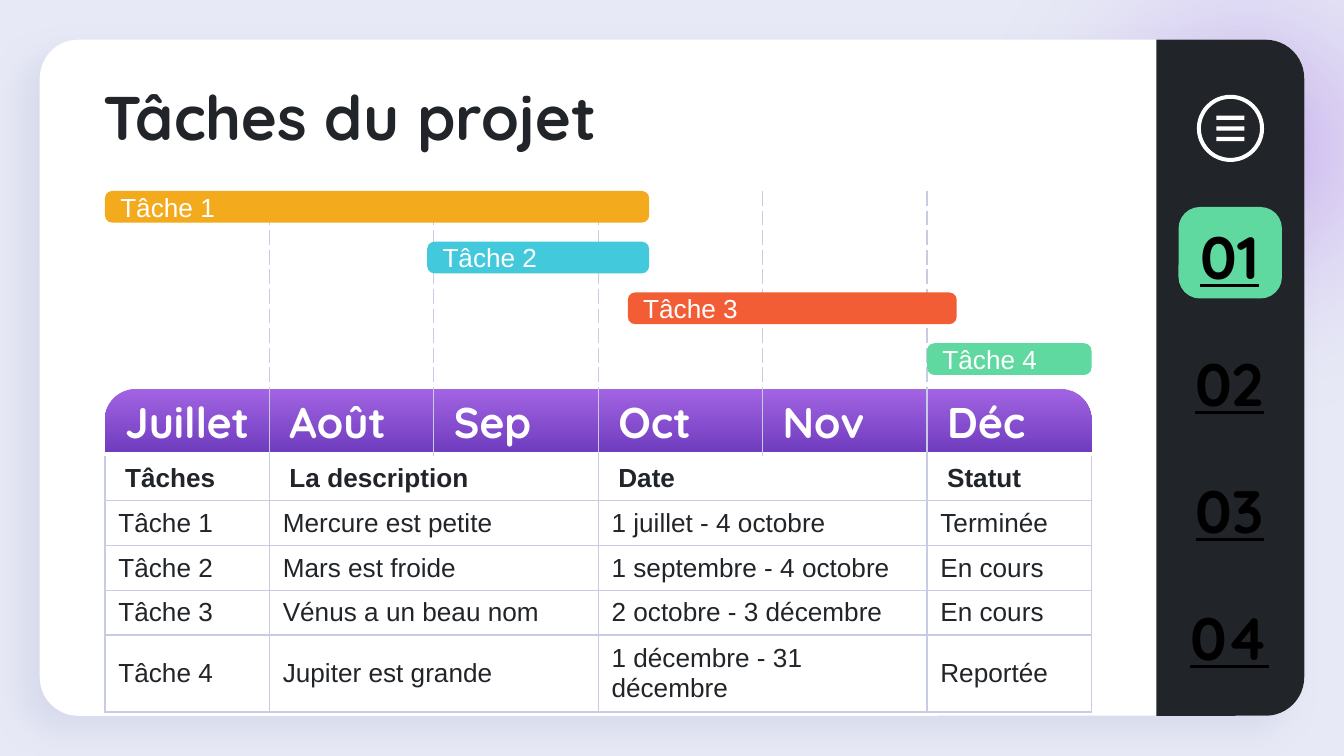
"""Build a project task slide with a timeline, a task table and a numbered sidebar."""
from lxml import etree
from pptx import Presentation
from pptx.dml.color import RGBColor
from pptx.enum import shapes, text
from pptx.oxml import parse_xml
from pptx.oxml.ns import nsdecls, qn
from pptx.util import Pt

WHITE = RGBColor(0xFF, 0xFF, 0xFF)
BLACK = RGBColor(0x00, 0x00, 0x00)
INK = RGBColor(0x21, 0x24, 0x28)
MIST = RGBColor(0xE7, 0xE9, 0xF6)
RULE = RGBColor(0xC7, 0xCC, 0xE2)
LILAC = RGBColor(0xA2, 0x64, 0xE3)
PURPLE = RGBColor(0x70, 0x3D, 0xBF)
AMBER = RGBColor(0xF4, 0xAA, 0x1D)
CYAN = RGBColor(0x43, 0xC9, 0xDC)
ORANGE = RGBColor(0xF3, 0x5D, 0x35)
GREEN = RGBColor(0x60, 0xD9, 0xA1)

TITLE = "Tâches du projet"
MONTHS = ["Juillet", "Août", "Sep", "Oct", "Nov", "Déc"]
TASK_BARS = [
    ("Tâche 1", 0, 3.31, AMBER),
    ("Tâche 2", 1.96, 3.31, CYAN),
    ("Tâche 3", 3.18, 5.18, ORANGE),
    ("Tâche 4", 5, 6, GREEN),
]
TASK_ROWS = [
    ("Tâches", "La description", "Date", "Statut"),
    ("Tâche 1", "Mercure est petite", "1 juillet - 4 octobre", "Terminée"),
    ("Tâche 2", "Mars est froide", "1 septembre - 4 octobre", "En cours"),
    ("Tâche 3", "Vénus a un beau nom", "2 octobre - 3 décembre", "En cours"),
    ("Tâche 4", "Jupiter est grande", "1 décembre - 31 décembre", "Reportée"),
]
TASK_SPANS = [(0, 0), (1, 2), (3, 4), (5, 5)]
SECTIONS = ["01", "02", "03", "04"]

GRID_LEFT, GRID_TOP, MONTH_WIDTH = 56.2, 102.3, 88.1
ROW_HEIGHTS = [106, 33.7, 24, 24, 24, 24, 41.2]
BAR_STEP, BAR_HEIGHT = 27.2, 17
SECTION_LEFT, SECTION_TOP, SECTION_STEP = 630, 117.4, 68


def add_shape(slide, kind, box, color, adjustments=()):
    shape = slide.shapes.add_shape(kind, *map(Pt, box))
    shape.shadow.inherit = False
    shape.fill.solid()
    shape.fill.fore_color.rgb = color
    shape.line.fill.background()
    for index, value in enumerate(adjustments):
        shape.adjustments[index] = value
    return shape


def set_gradient(shape, stops, direction):
    properties = shape._element.spPr
    stop_xml = "".join(
        f'<a:gs pos="{position * 1000}"><a:srgbClr val="{color}">'
        f'<a:alpha val="{alpha * 1000}"/></a:srgbClr></a:gs>'
        for position, color, alpha in stops)
    gradient = parse_xml(
        f'<a:gradFill {nsdecls("a")} rotWithShape="1"><a:gsLst>{stop_xml}</a:gsLst>{direction}</a:gradFill>')
    properties.replace(properties.find(qn("a:solidFill")), gradient)


def set_shadow(shape, color, alpha, blur, distance, angle):
    effects = shape._element.spPr.find(qn("a:effectLst"))
    effects.append(parse_xml(
        f'<a:outerShdw {nsdecls("a")} blurRad="{Pt(blur)}" dist="{Pt(distance)}" dir="{angle * 60000}" '
        f'algn="bl" rotWithShape="0"><a:srgbClr val="{color}"><a:alpha val="{alpha * 1000}"/>'
        '</a:srgbClr></a:outerShdw>'))


def set_text(frame, words, font, size, color, bold=False, underline=None, align=text.PP_ALIGN.LEFT):
    frame.word_wrap = True
    paragraph = frame.paragraphs[0]
    paragraph.text = words
    paragraph.alignment = align
    paragraph.font.name = font
    paragraph.font.size = Pt(size)
    paragraph.font.color.rgb = color
    paragraph.font.bold = bold
    paragraph.font.underline = underline


def add_label(slide, box, words, size, color, anchor, margins, **style):
    frame = slide.shapes.add_textbox(*map(Pt, box)).text_frame
    frame.vertical_anchor = anchor
    frame.margin_top, frame.margin_bottom = map(Pt, margins)
    set_text(frame, words, "Quicksand", size, color, bold=True, **style)


def set_borders(cell, sides, dash):
    properties = cell._tc.get_or_add_tcPr()
    for side in "LRTB":
        line = etree.SubElement(properties, qn(f"a:ln{side}"), w=str(Pt(0.75)))
        if side in sides:
            fill = etree.SubElement(line, qn("a:solidFill"))
            etree.SubElement(fill, qn("a:srgbClr"), val=str(RULE))
            etree.SubElement(line, qn("a:prstDash"), val=dash)
        else:
            etree.SubElement(line, qn("a:noFill"))
    cell.fill.background()


def set_cell(cell, words, size, font, color, indent, bold):
    cell.vertical_anchor = text.MSO_ANCHOR.MIDDLE
    cell.margin_left, cell.margin_right = Pt(indent), Pt(7.2)
    cell.margin_top = cell.margin_bottom = Pt(3.6)
    set_text(cell.text_frame, words, font, size, color, bold)


def add_task_table(slide):
    count = len(MONTHS)
    frame = slide.shapes.add_table(
        len(ROW_HEIGHTS), count, Pt(GRID_LEFT), Pt(GRID_TOP),
        Pt(count * MONTH_WIDTH), Pt(sum(ROW_HEIGHTS)))
    table = frame.table
    table.first_row = table.horz_banding = False
    for column in table.columns:
        column.width = Pt(MONTH_WIDTH)
    for row_index, height in enumerate(ROW_HEIGHTS):
        table.rows[row_index].height = Pt(height)
        for column in range(count):
            inner = ("L" if column else "") + ("R" if column < count - 1 else "")
            sides = inner if row_index < 2 else "LRB" if row_index == 2 else "LRTB"
            set_borders(table.cell(row_index, column), sides, "solid" if row_index else "lgDash")
    for column, month in enumerate(MONTHS):
        set_cell(table.cell(1, column), month, 23, "Quicksand", WHITE, 10.8, True)
    for row_index, row in enumerate(TASK_ROWS, 2):
        heading = row_index == 2
        for words, (first, last) in zip(row, TASK_SPANS):
            cell = table.cell(row_index, first)
            if last > first:
                cell.merge(table.cell(row_index, last))
            set_cell(cell, words, 14, "Arial", INK, 10.8 if heading else 7.2, heading)


def add_background(slide):
    kinds = shapes.MSO_SHAPE
    slide.background.fill.solid()
    slide.background.fill.fore_color.rgb = MIST
    glow = add_shape(slide, kinds.OVAL, (499, -87.8, 335.5, 335.5), LILAC)
    set_gradient(glow, [(0, LILAC, 49), (62, MIST, 0), (100, WHITE, 0)],
                 '<a:path path="circle"><a:fillToRect l="50000" t="50000" r="50000" b="50000"/></a:path>')
    card = add_shape(slide, kinds.ROUNDED_RECTANGLE, (21.3, 21.3, 677.5, 362.2), WHITE, [0.057])
    set_shadow(card, RULE, 47, 16.9, 12, 137)
    sidebar = add_shape(slide, kinds.ROUND_2_SAME_RECTANGLE, (478, 162.8, 362.2, 79.2), INK, [0.261, 0])
    sidebar.rotation = 90


def add_menu_icon(slide):
    kinds = shapes.MSO_SHAPE
    add_shape(slide, kinds.DONUT, (641.2, 50.8, 36, 36), WHITE, [0.06])
    for index in range(3):
        add_shape(slide, kinds.RECTANGLE, (651.6, 62 + index * 5.7, 15, 2.3), WHITE)


def main():
    presentation = Presentation()
    presentation.slide_width, presentation.slide_height = Pt(720), Pt(405)
    slide = presentation.slides.add_slide(presentation.slide_layouts[6])
    kinds = shapes.MSO_SHAPE
    add_background(slide)
    add_shape(slide, kinds.ROUNDED_RECTANGLE, (631.4, 110.9, 55.4, 49), GREEN, [0.234])
    band = add_shape(slide, kinds.ROUND_2_SAME_RECTANGLE,
                     (GRID_LEFT, GRID_TOP + ROW_HEIGHTS[0], len(MONTHS) * MONTH_WIDTH, ROW_HEIGHTS[1]),
                     LILAC, [0.5, 0])
    set_gradient(band, [(0, LILAC, 100), (100, PURPLE, 100)], '<a:lin ang="5400000" scaled="0"/>')
    add_menu_icon(slide)
    add_task_table(slide)
    for index, (name, start, end, color) in enumerate(TASK_BARS):
        box = (GRID_LEFT + start * MONTH_WIDTH, GRID_TOP + index * BAR_STEP,
               (end - start) * MONTH_WIDTH, BAR_HEIGHT)
        bar = add_shape(slide, kinds.ROUNDED_RECTANGLE, box, color, [0.232])
        bar.text_frame.margin_top = bar.text_frame.margin_bottom = Pt(7.2)
        bar.text_frame.vertical_anchor = text.MSO_ANCHOR.MIDDLE
        set_text(bar.text_frame, name, "Arial", 14, WHITE)
    add_label(slide, (48.3, 42.5, 536.5, 37.4), TITLE, 33, INK, text.MSO_ANCHOR.TOP, (0, 7.2))
    for index, number in enumerate(SECTIONS):
        add_label(slide, (SECTION_LEFT, SECTION_TOP + index * SECTION_STEP, 57.6, 38.9), number, 32, BLACK,
                  text.MSO_ANCHOR.MIDDLE, (0, 0), underline=True, align=text.PP_ALIGN.CENTER)
    presentation.save("out.pptx")


if __name__ == "__main__":
    main()
